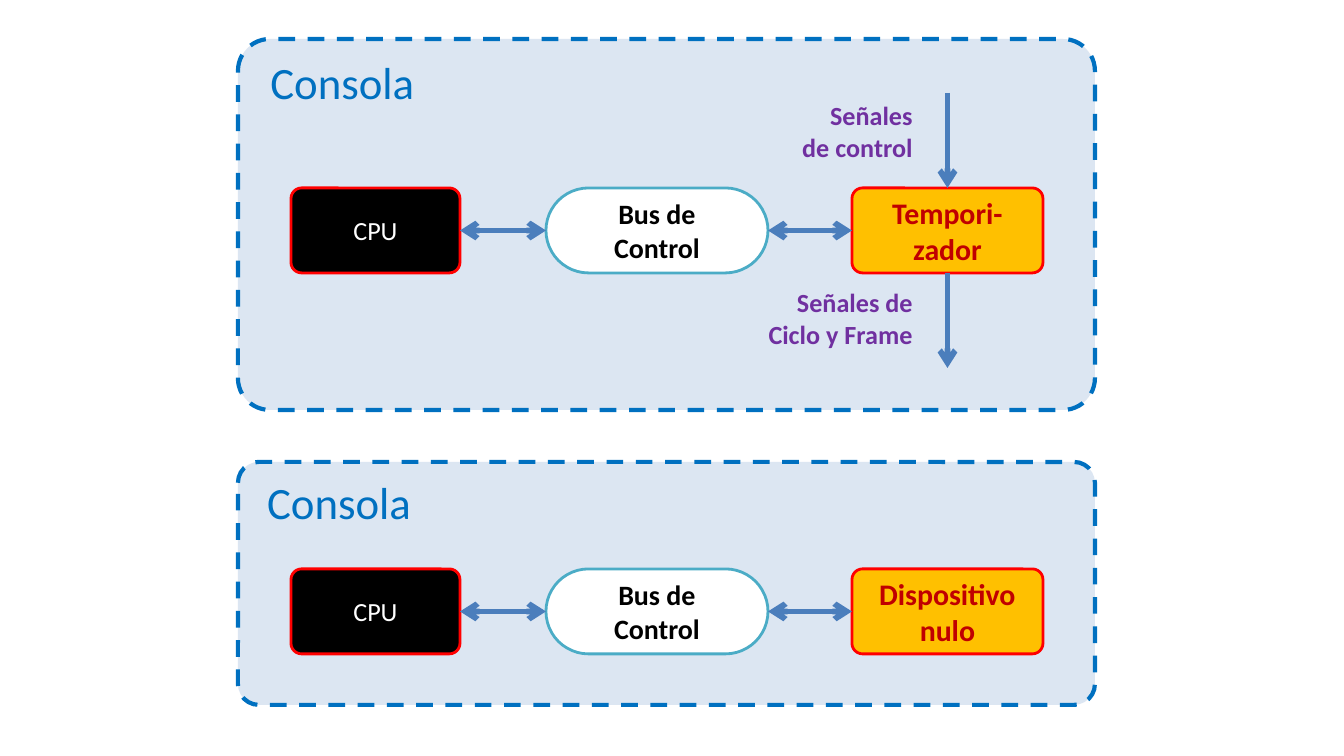
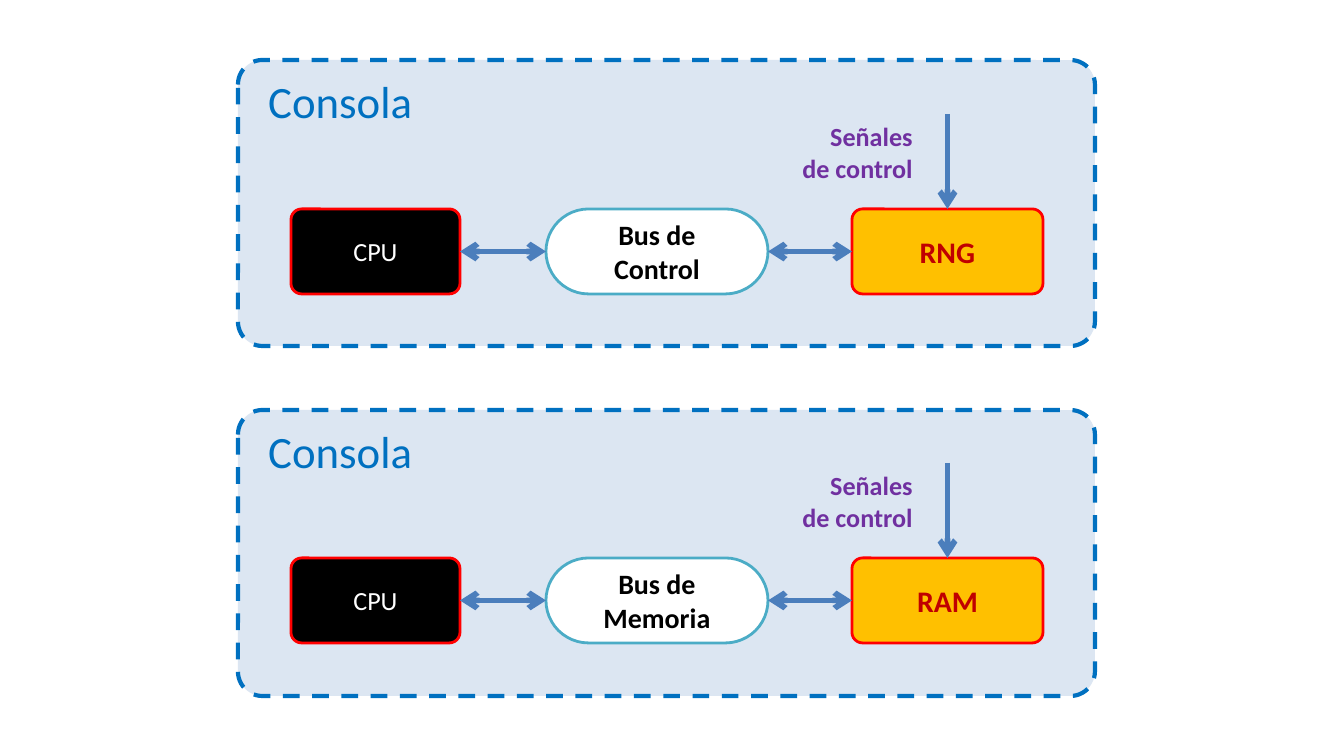
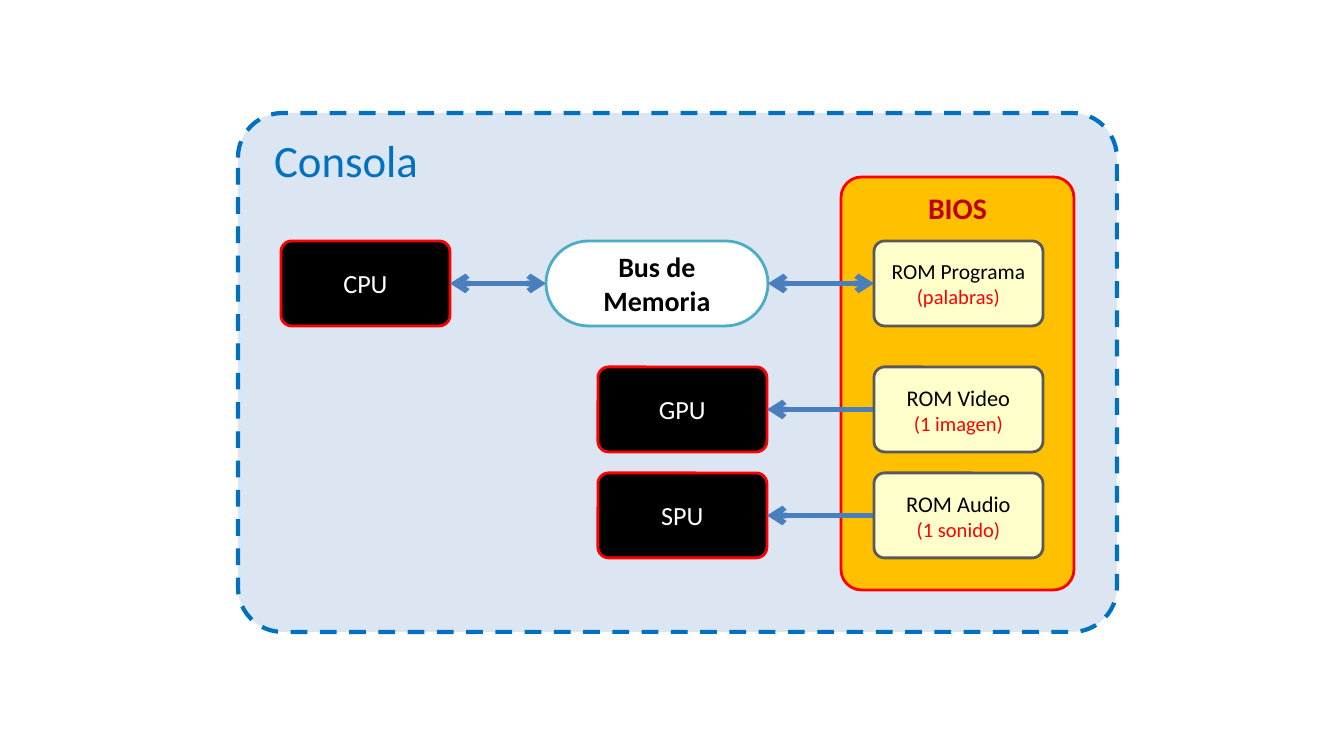
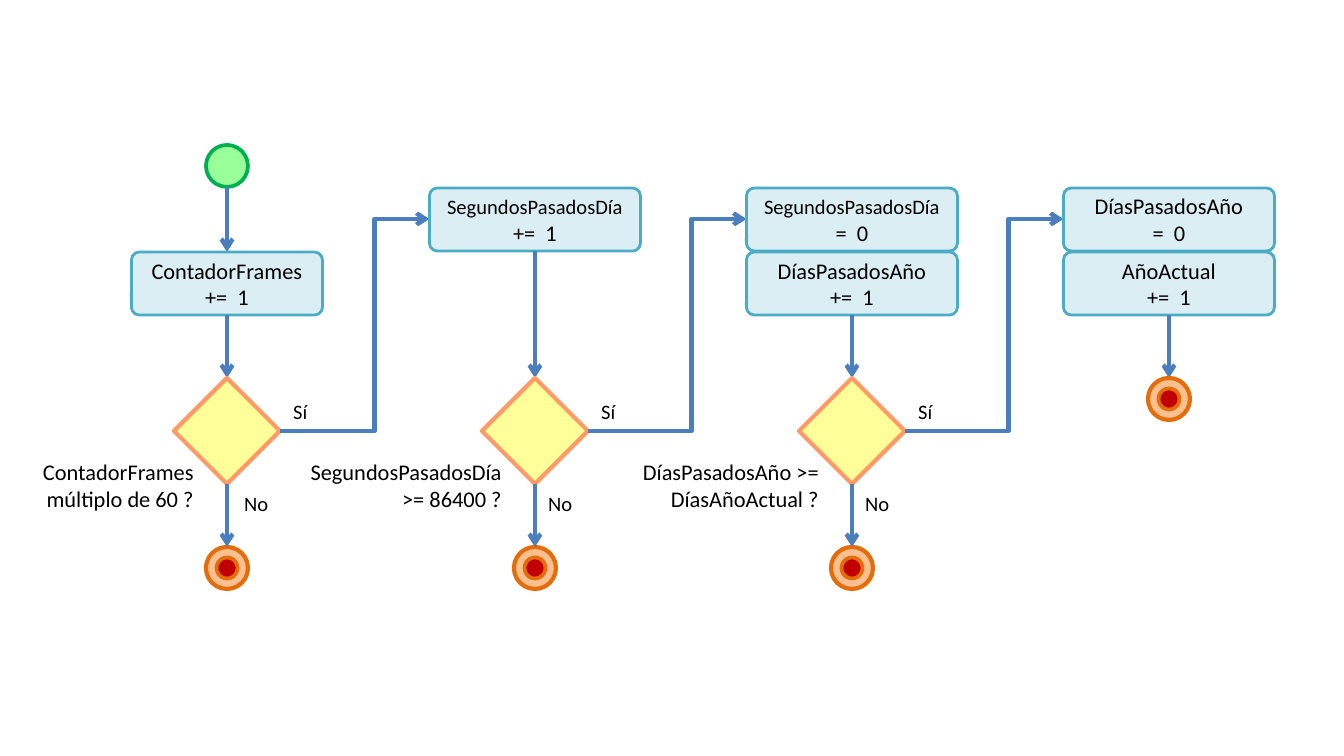
from pptx import Presentation
from pptx.dml.color import RGBColor
from pptx.enum.dml import MSO_LINE
from pptx.enum.shapes import MSO_CONNECTOR, MSO_SHAPE
from pptx.enum.text import MSO_ANCHOR, MSO_AUTO_SIZE, PP_ALIGN
from pptx.oxml.ns import qn
from pptx.util import Emu, Pt
from lxml.etree import SubElement

# Colours
BLACK = RGBColor(0, 0, 0)
WHITE = RGBColor(255, 255, 255)
RED = RGBColor(255, 0, 0)
DARK_RED = RGBColor(0xC0, 0, 0)
BLUE = RGBColor(0x00, 0x70, 0xC0)
PALE_BLUE = RGBColor(0xDC, 0xE6, 0xF2)
WIRE = RGBColor(0x4B, 0x7E, 0xBC)
TEAL = RGBColor(0x4B, 0xAC, 0xC6)
PALE_TEAL = RGBColor(0xDB, 0xEE, 0xF4)
AMBER = RGBColor(0xFF, 0xC0, 0x00)
PURPLE = RGBColor(0x70, 0x30, 0xA0)
CREAM = RGBColor(0xFF, 0xFF, 0xCC)
GREY = RGBColor(0x59, 0x59, 0x59)
LIME = RGBColor(0x99, 0xFF, 0x99)
GREEN = RGBColor(0x00, 0xB0, 0x50)
YELLOW = RGBColor(0xFF, 0xFF, 0x99)
CORAL = RGBColor(0xFF, 0x99, 0x66)
PEACH = RGBColor(0xFA, 0xC0, 0x90)
ORANGE = RGBColor(0xE4, 0x6C, 0x0A)

# Text styles: points, colour, bold
FONTS = {
    "title": (24, BLUE, False), "device": (16, DARK_RED, True),
    "chip": (14, WHITE, False), "bus": (15, BLACK, True),
    "signal": (14, PURPLE, True), "rom": (12, BLACK, False),
    "rom long": (11.5, BLACK, False), "note": (11, RED, False),
    "step": (12, BLACK, False), "small": (11, BLACK, False),
}

# Box styles: preset, corner, fill, line, line points
LOOKS = {
    "panel": (MSO_SHAPE.ROUNDED_RECTANGLE, 0.086, PALE_BLUE, BLUE, 2.25),
    "bios": (MSO_SHAPE.ROUNDED_RECTANGLE, 0.088, AMBER, RED, 1.5),
    "device": (MSO_SHAPE.ROUNDED_RECTANGLE, 0.125, AMBER, RED, 1.5),
    "chip": (MSO_SHAPE.ROUNDED_RECTANGLE, 0.125, BLACK, RED, 1.5),
    "bus": (MSO_SHAPE.ROUNDED_RECTANGLE, 0.5, WHITE, TEAL, 1.5),
    "rom": (MSO_SHAPE.ROUNDED_RECTANGLE, 0.125, CREAM, GREY, 1.5),
    "step": (MSO_SHAPE.ROUNDED_RECTANGLE, 0.125, PALE_TEAL, TEAL, 1.5),
    "start": (MSO_SHAPE.FLOWCHART_CONNECTOR, None, LIME, GREEN, 2),
    "ring": (MSO_SHAPE.FLOWCHART_CONNECTOR, None, PEACH, ORANGE, 2.25),
    "core": (MSO_SHAPE.FLOWCHART_CONNECTOR, None, DARK_RED, ORANGE, 2),
    "choice": (MSO_SHAPE.FLOWCHART_DECISION, None, YELLOW, CORAL, 2.25),
}

# Panel slides: top, height, row top, bus, device, signal in, signal out
# A signal is its text and the width of its label.
INPUT = "Señales\nde control"
PANELS = [
    [(39, 371, 188, "Bus de\nControl", "Tempori-zador", (INPUT, 169),
      ("Señales de Ciclo y Frame", 191)),
     (462, 243, 569, "Bus de\nControl", "Dispositivo nulo", None, None)],
    [(60, 286, 209, "Bus de\nControl", "RNG", (INPUT, 137), None),
     (410, 286, 558, "Bus de Memoria", "RAM", (INPUT, 137), None)],
]

# BIOS slide: row top, chip, chip left, ROM, ROM style, note
ROMS = [
    (241, "CPU", 281, "ROM Programa", "rom long", "(palabras)"),
    (367, "GPU", 598, "ROM Video", "rom", "(1 imagen)"),
    (473, "SPU", 598, "ROM Audio", "rom", "(1 sonido)"),
]

# Flow slide: centre, box width, first box top, steps, question, its width
DAY = "SegundosPasadosDía"
FLOW = [
    (227, 191, 252, [[[("ContadorFrames +=  1", "step")]]],
     "ContadorFrames múltiplo de 60 ?", 180),
    (535, 211, 188, [[[(DAY, "small"), (" +=  1", "step")]]],
     DAY + " >= 86400 ?", 223),
    (852, 211, 188, [[[(DAY, "small"), (" =  0", "step")]],
                     [[("DíasPasadosAño", "step")], [("+=  1", "step")]]],
     "DíasPasadosAño >= DíasAñoActual ?", 212),
    (1169, 211, 188, [[[("DíasPasadosAño", "step")], [("=  0", "step")]],
                      [[("AñoActual", "step")], [("+=  1", "step")]]],
     None, 0),
]

# Shared measures in pixels
SCALE = 914400 / 134.4
LEFT = 238
CHIP_X, CHIP_W = 291, 169
BUS_X, BUS_W = 546, 222
DEVICE_X, DEVICE_W = 852, 191
ROM_X = 874
ROW_H, RUN = 85, 95
STEP_H, DOT, CORE = 63, 42, 21
CHOICE_Y, CHOICE = 378, 106
STOP_Y, BEND = 547, 55


def px(count):
    """Turn pixels into EMU."""
    return Emu(round(count * SCALE))


def plain(text, style):
    """Make one paragraph of one run from each line of text."""
    return [[(line, style)] for line in text.split("\n")]


def write(frame, paras, align, anchor=MSO_ANCHOR.TOP):
    """Fill a text frame with paragraphs of styled runs."""
    frame.word_wrap = True
    frame.vertical_anchor = anchor
    for i, runs in enumerate(paras):
        para = frame.add_paragraph() if i else frame.paragraphs[0]
        para.alignment = align
        for text, style in runs:
            run = para.add_run()
            run.text = text
            size, color, bold = FONTS[style]
            form = {"name": "Calibri", "size": Pt(size), "bold": bold}
            for key, value in form.items():
                setattr(run.font, key, value)
            run.font.color.rgb = color


def box(shapes, look, x, y, w, h, paras=(), align=PP_ALIGN.CENTER,
        anchor=MSO_ANCHOR.MIDDLE):
    """Draw a shape in one of the shared looks."""
    preset, corner, fill, line, width = LOOKS[look]
    shape = shapes.add_shape(preset, px(x), px(y), px(w), px(h))
    shape.shadow.inherit = False
    if corner is not None:
        shape.adjustments[0] = corner
    shape.fill.solid()
    shape.fill.fore_color.rgb = fill
    shape.line.color.rgb = line
    shape.line.width = Pt(width)
    write(shape.text_frame, paras, align, anchor)
    return shape


def label(shapes, x, y, w, h, text, style, align=PP_ALIGN.LEFT):
    """Place free text."""
    frame = shapes.add_textbox(px(x), px(y), px(w), px(h)).text_frame
    write(frame, plain(text, style), align)
    frame.auto_size = MSO_AUTO_SIZE.SHAPE_TO_FIT_TEXT


def arrow(shapes, x1, y1, x2, y2, width=3, both=False, bend=None):
    """Draw an arrow, straight or bent at a share of its width."""
    kind = MSO_CONNECTOR.STRAIGHT if bend is None else MSO_CONNECTOR.ELBOW
    wire = shapes.add_connector(kind, px(x1), px(y1), px(x2), px(y2))
    wire.line.color.rgb = WIRE
    wire.line.width = Pt(width)
    props = wire.line._get_or_add_ln()
    for end in ("a:headEnd", "a:tailEnd") if both else ("a:tailEnd",):
        SubElement(props, qn(end), type="arrow")
    SubElement(wire._element.spPr, qn("a:effectLst"))
    if bend is not None:
        guides = wire._element.spPr.find(qn("a:prstGeom")).find(qn("a:avLst"))
        SubElement(guides, qn("a:gd"), name="adj1",
                   fmla=f"val {round(bend * 100000)}")


def panel(shapes, y, w, h):
    """Draw the dashed console panel with its title."""
    shape = box(shapes, "panel", LEFT, y, w, h, plain("Consola", "title"),
                PP_ALIGN.LEFT, MSO_ANCHOR.TOP)
    shape.line.dash_style = MSO_LINE.DASH
    shape.text_frame.margin_left = px(23)


def link(shapes, y, chip_x, end_x, bus):
    """Draw a CPU and a bus, with two-way arrows up to end_x."""
    box(shapes, "chip", chip_x, y, CHIP_W, ROW_H, plain("CPU", "chip"))
    box(shapes, "bus", BUS_X, y, BUS_W, ROW_H, plain(bus, "bus"))
    mid = y + ROW_H / 2
    arrow(shapes, chip_x + CHIP_W, mid, BUS_X, mid, both=True)
    arrow(shapes, BUS_X + BUS_W, mid, end_x, mid, both=True)


def signal(shapes, y, top, text, w):
    """Draw a downward signal and the label at its left."""
    x = DEVICE_X + DEVICE_W / 2
    arrow(shapes, x, y, x, y + RUN)
    label(shapes, 926 - w, top, w, 77, text, "signal", PP_ALIGN.RIGHT)


def console(shapes, y, h, row, bus, device, inward, outward):
    """Draw a console panel with one device."""
    panel(shapes, y, 857, h)
    box(shapes, "device", DEVICE_X, row, DEVICE_W, ROW_H,
        plain(device, "device"))
    link(shapes, row, CHIP_X, DEVICE_X, bus)
    if inward:
        signal(shapes, row - RUN, row - RUN, *inward)
    if outward:
        signal(shapes, row + ROW_H, row + ROW_H + 7, *outward)


def bios(shapes):
    """Draw the console with its BIOS memories."""
    panel(shapes, 113, 879, 519)
    box(shapes, "bios", 841, 177, 233, 413, plain("BIOS", "device"),
        anchor=MSO_ANCHOR.TOP)
    for y, chip, x, rom, style, note in ROMS:
        if chip == "CPU":
            link(shapes, y, x, ROM_X, "Bus de Memoria")
        else:
            mid = y + ROW_H / 2
            box(shapes, "chip", x, y, CHIP_W, ROW_H, plain(chip, "chip"))
            arrow(shapes, ROM_X, mid, x + CHIP_W, mid)
        box(shapes, "rom", ROM_X, y, CHIP_W, ROW_H,
            plain(rom, style) + plain(note, "note"))


def stop(shapes, x, y):
    """Draw an end mark centred on x."""
    group = shapes.add_group_shape().shapes
    for look, size in (("ring", DOT), ("core", CORE)):
        box(group, look, x - size / 2, y + (DOT - size) / 2, size, size)


def choice(shapes, x, text, w):
    """Draw a question with its No branch and its labels."""
    base = CHOICE_Y + CHOICE
    box(shapes, "choice", x - CHOICE / 2, CHOICE_Y, CHOICE, CHOICE)
    label(shapes, x - 20 - w, 452, w, 67, text, "step", PP_ALIGN.RIGHT)
    label(shapes, x + CHOICE / 2, 392, 64, 39, "Sí", "small")
    label(shapes, x + (4 if x == FLOW[0][0] else 0), base, 64, 39, "No",
          "small")
    arrow(shapes, x, base, x, STOP_Y, 2.25)


def flow(shapes):
    """Draw the flow chart, column by column."""
    first, top = FLOW[0][0], FLOW[0][2]
    box(shapes, "start", first - DOT / 2, 145, DOT, DOT)
    arrow(shapes, first, 145 + DOT, first, top, 2.25)
    for i, (x, w, y, steps, text, wide) in enumerate(FLOW):
        for n, paras in enumerate(steps):
            box(shapes, "step", x - w / 2, y + n * 64, w, STEP_H, paras)
        base = y + (len(steps) - 1) * 64 + STEP_H
        arrow(shapes, x, base, x, CHOICE_Y, 2.25)
        stop(shapes, x, STOP_Y if text else CHOICE_Y)
        if text:
            choice(shapes, x, text, wide)
            after = FLOW[i + 1]
            x1, x2 = x + CHOICE / 2, after[0] - after[1] / 2
            arrow(shapes, x1, CHOICE_Y + CHOICE / 2, x2, 219, 2.25,
                  bend=1 - BEND / (x2 - x1))


deck = Presentation()
deck.slide_width, deck.slide_height = px(1344), px(756)


def page():
    """Add a blank slide and give its shapes."""
    return deck.slides.add_slide(deck.slide_layouts[6]).shapes


for pair in PANELS:
    shapes = page()
    for item in pair:
        console(shapes, *item)
bios(page())
flow(page())
deck.save("out.pptx")
